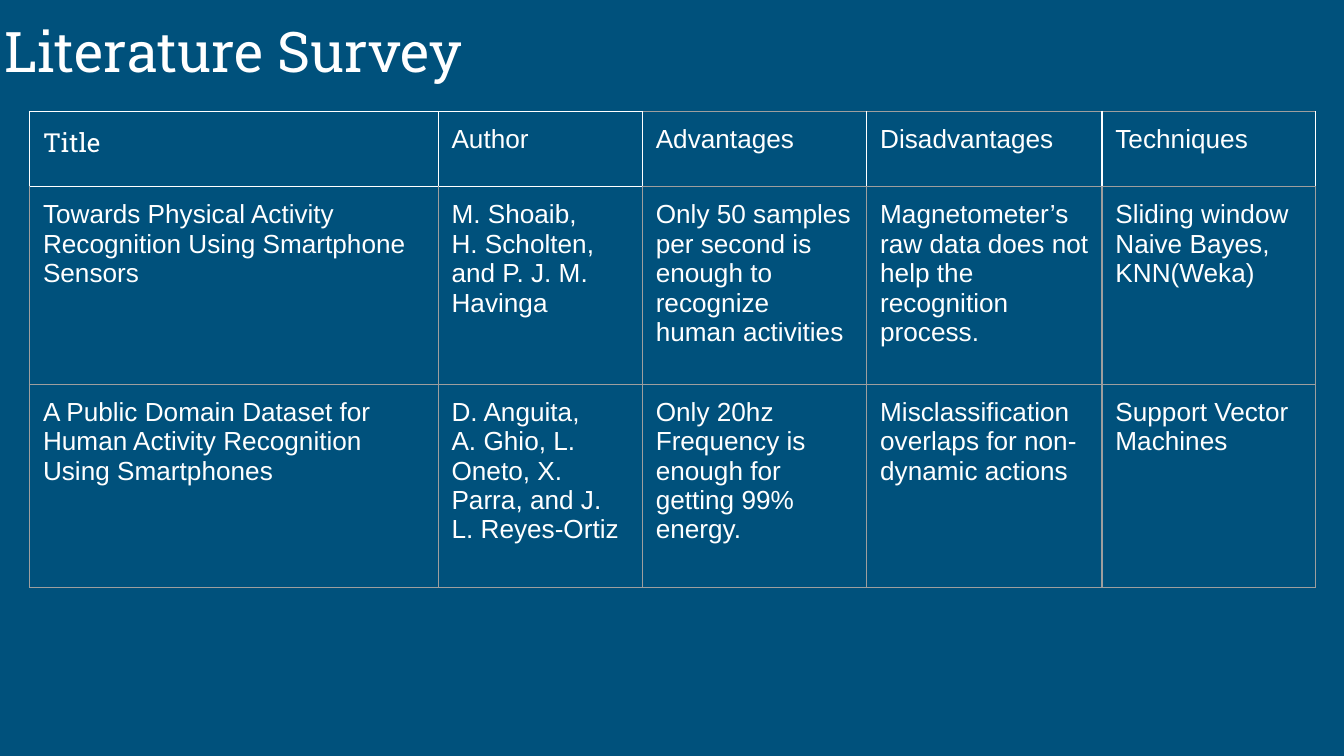
from lxml import etree
from pptx import Presentation
from pptx.dml.color import RGBColor
from pptx.enum.text import MSO_ANCHOR, PP_ALIGN
from pptx.oxml.ns import qn
from pptx.util import Inches, Pt

BOTTOM, TOP, LEFT = MSO_ANCHOR.BOTTOM, MSO_ANCHOR.TOP, PP_ALIGN.LEFT
COLORS = {"background": "00517C", "text": "FFFFFF", "white": "FFFFFF", "grey": "9E9E9E"}
HEADING_FONT, BODY_FONT = "Roboto Slab", "Arial"
MARGINS = {f"margin_{side}": Inches(0.1) for side in ("left", "right", "top", "bottom")}
COL_WIDTHS = [3.04, 1.52, 1.67, 1.75, 1.59]
ROW_HEIGHTS = [0.56, 1.47, 1.51]
ROWS = [
    ["Title", "Author", "Advantages", "Disadvantages", "Techniques"],
    [
        "Towards Physical Activity Recognition Using Smartphone Sensors",
        "M. Shoaib,\nH. Scholten, and P. J. M. Havinga",
        "Only 50 samples per second is enough to recognize human activities",
        "Magnetometer’s raw data does not help the recognition process.",
        "Sliding window\nNaive Bayes, KNN(Weka)",
    ],
    [
        "A Public Domain Dataset for Human Activity Recognition Using Smartphones",
        "D. Anguita,\nA. Ghio, L. Oneto, X. Parra, and J. L. Reyes-Ortiz",
        "Only 20hz\nFrequency is enough for getting 99% energy.",
        "Misclassification overlaps for non-dynamic actions",
        "Support Vector Machines",
    ],
]


def set_attributes(target, values):
    """Set each named attribute of an object."""
    for name, value in values.items():
        setattr(target, name, value)


def write_text(tf, text, font, size):
    """Fill a text frame with left-aligned paragraphs in one font."""
    tf.text = text
    for p in tf.paragraphs:
        p.alignment = LEFT
        for r in p.runs:
            set_attributes(r.font, {"name": font, "size": Pt(size), "bold": False})
            r.font.color.rgb = RGBColor.from_string(COLORS["text"])


def set_borders(cell, colors):
    """Draw the left, right, top and bottom borders of a cell."""
    tc_pr = cell._tc.get_or_add_tcPr()
    for i, (side, color) in enumerate(zip("LRTB", colors)):
        ln = etree.Element(qn(f"a:ln{side}"), w=str(Pt(0.75)))
        fill = etree.SubElement(ln, qn("a:solidFill"))
        etree.SubElement(fill, qn("a:srgbClr"), val=COLORS[color])
        tc_pr.insert(i, ln)


def border_colors(row, col):
    """Return the border colours for a cell's left, right, top and bottom."""
    side = "white" if row == 0 else "grey"
    top = "white" if row < 2 and col < 2 else "grey"
    bottom = "white" if row == 0 and col < 2 else "grey"
    return side, side, top, bottom


def add_title(s, text, left, top, width, height):
    """Place and format the title placeholder."""
    sp = s.shapes.title
    set_attributes(sp, {"left": Inches(left), "top": Inches(top),
                        "width": Inches(width), "height": Inches(height)})
    tf = sp.text_frame
    set_attributes(tf, {"word_wrap": True, "vertical_anchor": BOTTOM, **MARGINS})
    write_text(tf, text, HEADING_FONT, 30)


def add_survey_table(s, left, top):
    """Add the literature table with its top left corner at the given point."""
    table = s.shapes.add_table(
        len(ROWS), len(COL_WIDTHS), Inches(left), Inches(top),
        Inches(sum(COL_WIDTHS)), Inches(sum(ROW_HEIGHTS)),
    ).table
    table.first_row = table.horz_banding = False
    for column, width in zip(table.columns, COL_WIDTHS):
        column.width = Inches(width)
    for row, height in zip(table.rows, ROW_HEIGHTS):
        row.height = Inches(height)
    for i, texts in enumerate(ROWS):
        for j, text in enumerate(texts):
            cell = table.cell(i, j)
            cell.fill.background()
            set_attributes(cell, {"vertical_anchor": TOP, **MARGINS})
            write_text(cell.text_frame, text, HEADING_FONT if i == j == 0 else BODY_FONT, 14)
            set_borders(cell, border_colors(i, j))


def main():
    """Build the literature survey slide."""
    prs = Presentation()
    prs.slide_width = Inches(10)
    prs.slide_height = prs.slide_width * 9 // 16
    s = prs.slides.add_slide(prs.slide_layouts[5])
    fill = s.background.fill
    fill.solid()
    fill.fore_color.rgb = RGBColor.from_string(COLORS["background"])
    add_title(s, "Literature Survey", -0.07, 0, 8.99, 0.72)
    add_survey_table(s, 0.22, 0.83)
    prs.save("out.pptx")


if __name__ == "__main__":
    main()
